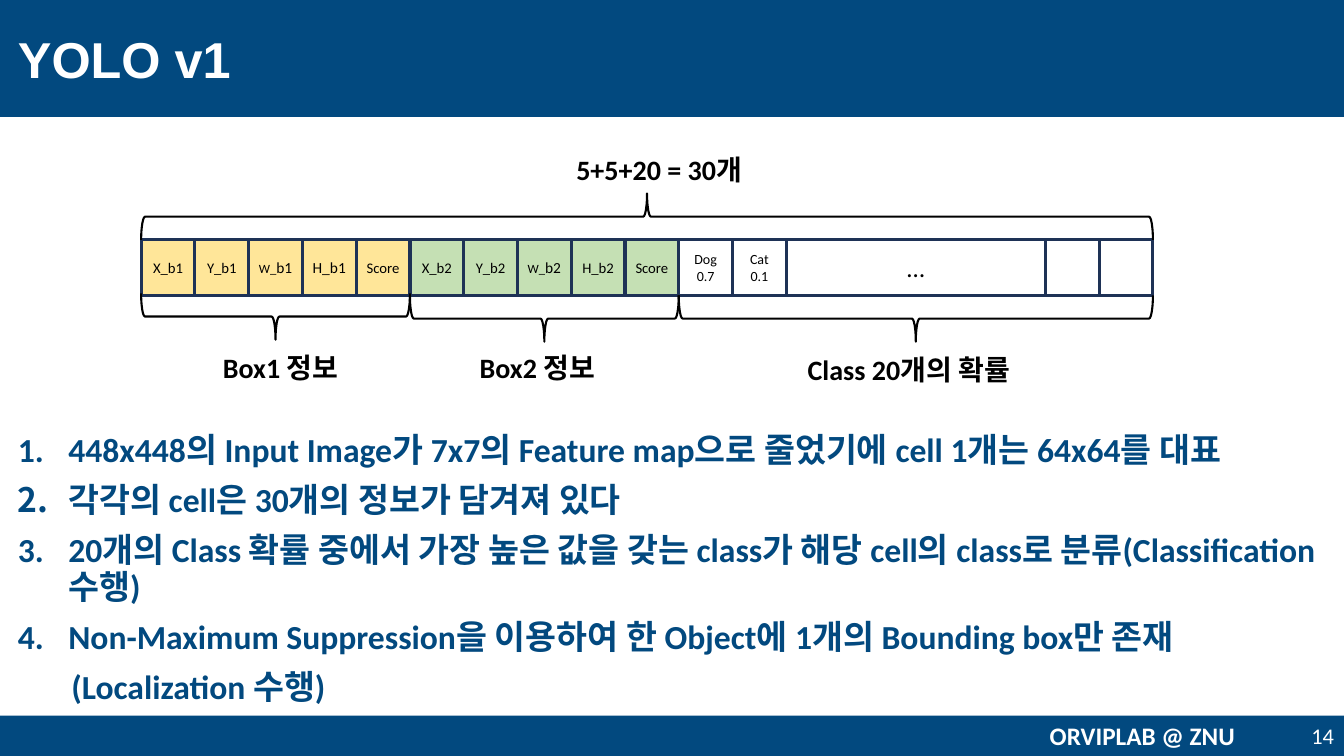
from pptx import Presentation
from pptx.dml.color import RGBColor
from pptx.enum.shapes import MSO_SHAPE
from pptx.enum.text import MSO_ANCHOR, PP_ALIGN
from pptx.oxml.ns import qn
from pptx.util import Inches, Pt
from lxml import etree

W, H = 13.33, 7.5
NAVY, EDGE, WHITE, BLACK = "02497F", "1E3256", "FFFFFF", "000000"
YELLOW, GREEN = "FFE699", "C5E0B4"
CELL_W, CELL_H = W / 25, 0.55
LABEL_W, LABEL_H = 2.98, 0.85
BRACE_H = 0.46

# Cells of the output vector: runs (text, size) per paragraph, fill, columns
CELLS = [
    ([[("X_b1", 10.5)]], YELLOW, 1),
    ([[("Y_b1", 10.5)]], YELLOW, 1),
    ([[("W_", 9), ("b1", 11)]], YELLOW, 1),
    ([[("H_b1", 11)]], YELLOW, 1),
    ([[("Score", 10.5)]], YELLOW, 1),
    ([[("X_b2", 10.5)]], GREEN, 1),
    ([[("Y_b2", 10.5)]], GREEN, 1),
    ([[("W_", 9), ("b2", 11)]], GREEN, 1),
    ([[("H_b2", 10.5)]], GREEN, 1),
    ([[("Score", 10.5)]], GREEN, 1),
    ([[("Dog", 10)], [("0.7", 10)]], WHITE, 1),
    ([[("Cat", 10)], [("0.1", 10)]], WHITE, 1),
    ([[("…", 18)]], WHITE, 4.82),
    ([], WHITE, 1),
    ([], WHITE, 1),
]
# Braces below the vector: label, first column, columns, drop, label shift
GROUPS = [
    ("Box1 정보", 0, 5, -0.02, (0.05, 0)),
    ("Box2 정보", 5, 5, 0, (-0.07, 0)),
    ("Class 20개의 확률", 10, 8.82, 0, (-0.07, 0.02)),
]
POINTS = [
    "448x448의 Input Image가 7x7의 Feature map으로 줄었기에 cell 1개는 64x64를 대표",
    "각각의 cell은 30개의 정보가 담겨져 있다",
    "20개의 Class 확률 중에서 가장 높은 값을 갖는 class가 해당 cell의 class로 분류(Classification 수행)",
    "Non-Maximum Suppression을 이용하여 한 Object에 1개의 Bounding box만 존재",
]
CLOSING = "(Localization 수행)"


def rgb(value):
    return RGBColor.from_string(value)


def add_run(p, text, size, color=BLACK, bold=False, font="Calibri"):
    r = p.add_run()
    r.text = text
    for name, value in {"size": Pt(size), "bold": bold, "name": font}.items():
        setattr(r.font, name, value)
    r.font.color.rgb = rgb(color)


def add_text(s, box, text, size, color=BLACK, bold=True, font="Calibri",
             align=PP_ALIGN.CENTER):
    tf = s.shapes.add_textbox(*map(Inches, box)).text_frame
    tf.word_wrap, tf.vertical_anchor = True, MSO_ANCHOR.MIDDLE
    p = tf.paragraphs[0]
    p.alignment = align
    add_run(p, text, size, color, bold, font)


def add_rect(s, box, fill, line=None):
    sp = s.shapes.add_shape(MSO_SHAPE.RECTANGLE, *map(Inches, box))
    sp.shadow.inherit = False
    sp.fill.solid()
    sp.fill.fore_color.rgb = rgb(fill)
    if line:
        sp.line.color.rgb, sp.line.width = rgb(line), Pt(2.25)
    else:
        sp.line.fill.background()
    return sp


def add_brace(s, box, rotation):
    """Lay a left brace on its side so that it covers the box."""
    x, y, w, h = box
    sp = s.shapes.add_shape(MSO_SHAPE.LEFT_BRACE, Inches(x + (w - h) / 2),
                            Inches(y + (h - w) / 2), Inches(h), Inches(w))
    sp.rotation = rotation
    sp.shadow.inherit = False
    sp.fill.background()
    sp.line.color.rgb, sp.line.width = rgb(BLACK), Pt(1.5)


def header(s, box):
    x, y, w, h = box
    add_rect(s, box, NAVY)
    add_text(s, (x + 0.08, y + 0.08, w - 0.16, h - 0.17), "YOLO v1", 36,
             WHITE, font="Arial", align=PP_ALIGN.LEFT)


def footer(s, box):
    x, y, w, h = box
    add_rect(s, box, NAVY)
    add_text(s, (x + w - 3.4, y, 2.8, h), "ORVIPLAB @ ZNU", 18, WHITE)
    add_text(s, (x + w - 0.6, y, 0.6, h), "14", 16, WHITE, bold=False,
             align=PP_ALIGN.RIGHT)


def cell(s, box, paragraphs, fill):
    tf = add_rect(s, box, fill, EDGE).text_frame
    margins = ("margin_left", "margin_right", "margin_top", "margin_bottom")
    for name in margins:
        setattr(tf, name, 0)
    tf.word_wrap, tf.vertical_anchor = True, MSO_ANCHOR.MIDDLE
    for i, runs in enumerate(paragraphs):
        p = tf.add_paragraph() if i else tf.paragraphs[0]
        p.alignment = PP_ALIGN.CENTER
        for text, size in runs:
            add_run(p, text, size)


def output_vector(s, box):
    x, y, w, h = box
    # Row of cells
    left = x
    for paragraphs, fill, columns in CELLS:
        cell(s, (left, y, columns * CELL_W, h), paragraphs, fill)
        left += columns * CELL_W
    # Brace and label of each group
    for text, first, columns, drop, (dx, dy) in GROUPS:
        left, width = x + first * CELL_W, columns * CELL_W
        add_brace(s, (left, y + h + drop, width, BRACE_H), 270)
        add_text(s, (left + (width - LABEL_W) / 2 + dx, y + h + 0.29 + dy,
                     LABEL_W, LABEL_H), text, 20)
    # Brace and label of the whole row
    add_brace(s, (x, y - BRACE_H, w, BRACE_H), 90)
    add_text(s, (x + (w - LABEL_W) / 2 + 0.12, y - 1.13, LABEL_W, LABEL_H),
             "5+5+20 = 30개", 20)


def explanation(s, box):
    tf = s.shapes.add_textbox(*map(Inches, box)).text_frame
    tf.word_wrap = True
    for i, text in enumerate(POINTS + [CLOSING]):
        p = tf.add_paragraph() if i else tf.paragraphs[0]
        p.line_spacing, p.space_before = 0.9, Pt(10)
        add_run(p, text, 24, NAVY, True)
        pPr = p._p.get_or_add_pPr()
        if text == CLOSING:
            pPr.set("marL", str(Inches(0.53)))
            continue
        pPr.set("marL", str(Inches(0.5)))
        pPr.set("indent", str(Inches(-0.5)))
        etree.SubElement(pPr, qn("a:buFont"), typeface="+mj-lt")
        etree.SubElement(pPr, qn("a:buAutoNum"), type="arabicPeriod")


def main():
    prs = Presentation()
    prs.slide_width, prs.slide_height = Inches(W), Inches(H)
    s = prs.slides.add_slide(prs.slide_layouts[6])
    header(s, (0, 0, W, 1.16))
    footer(s, (0, 7.1, W, 0.4))
    explanation(s, (0.08, 4.25, W - 0.16, 2.88))
    columns = sum(c[2] for c in CELLS)
    output_vector(s, (1.4, 2.38, columns * CELL_W, CELL_H))
    prs.save("out.pptx")


if __name__ == "__main__":
    main()
